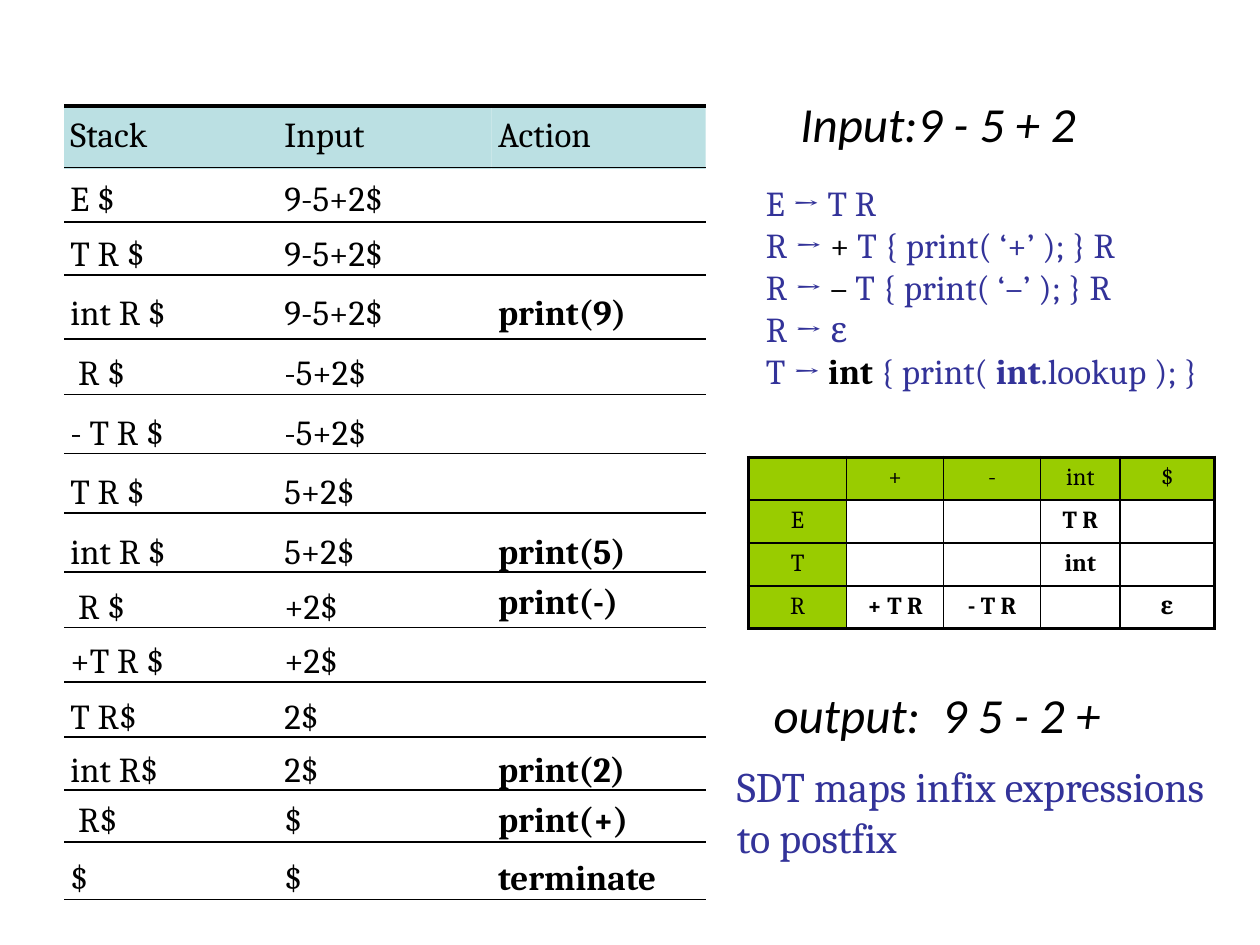
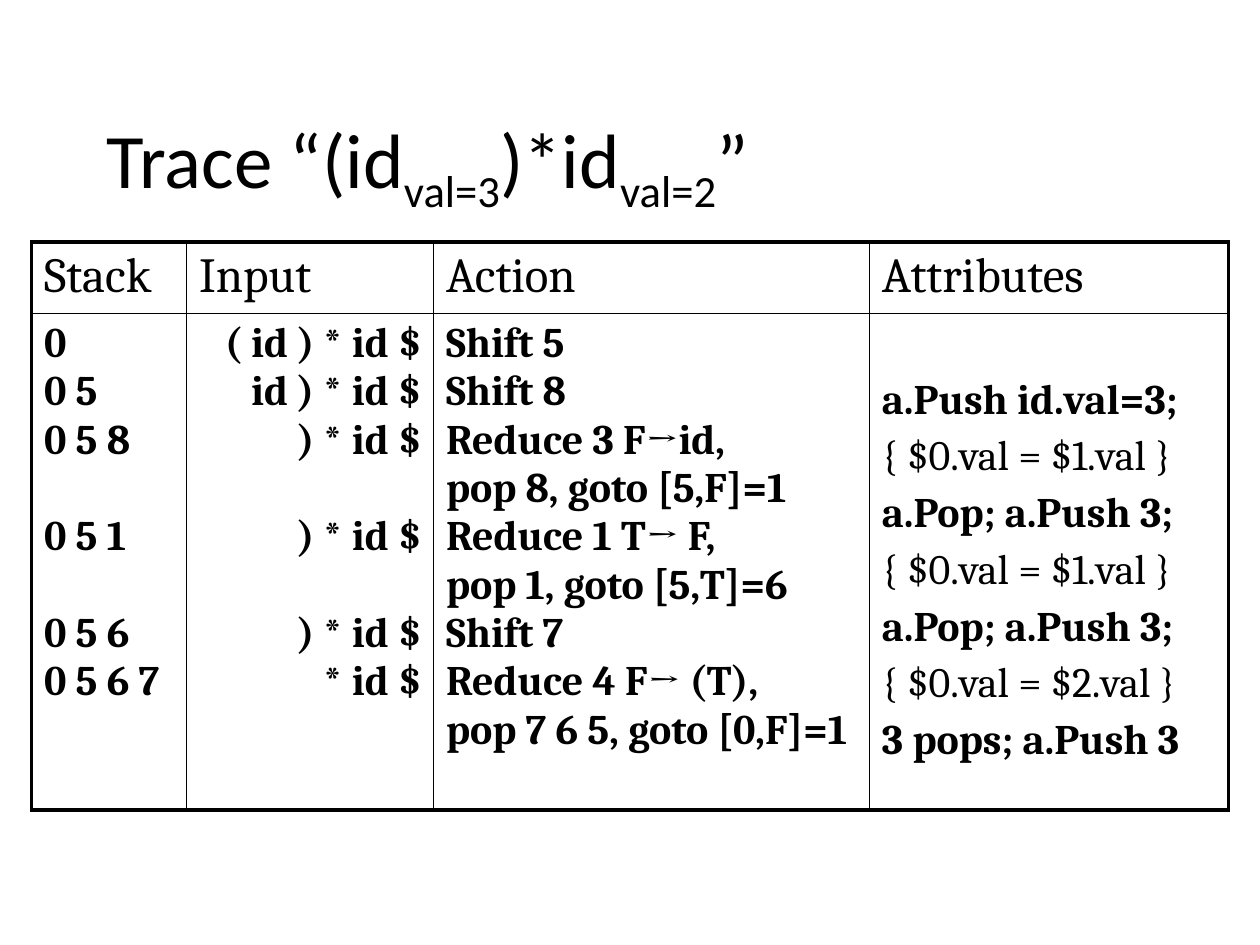
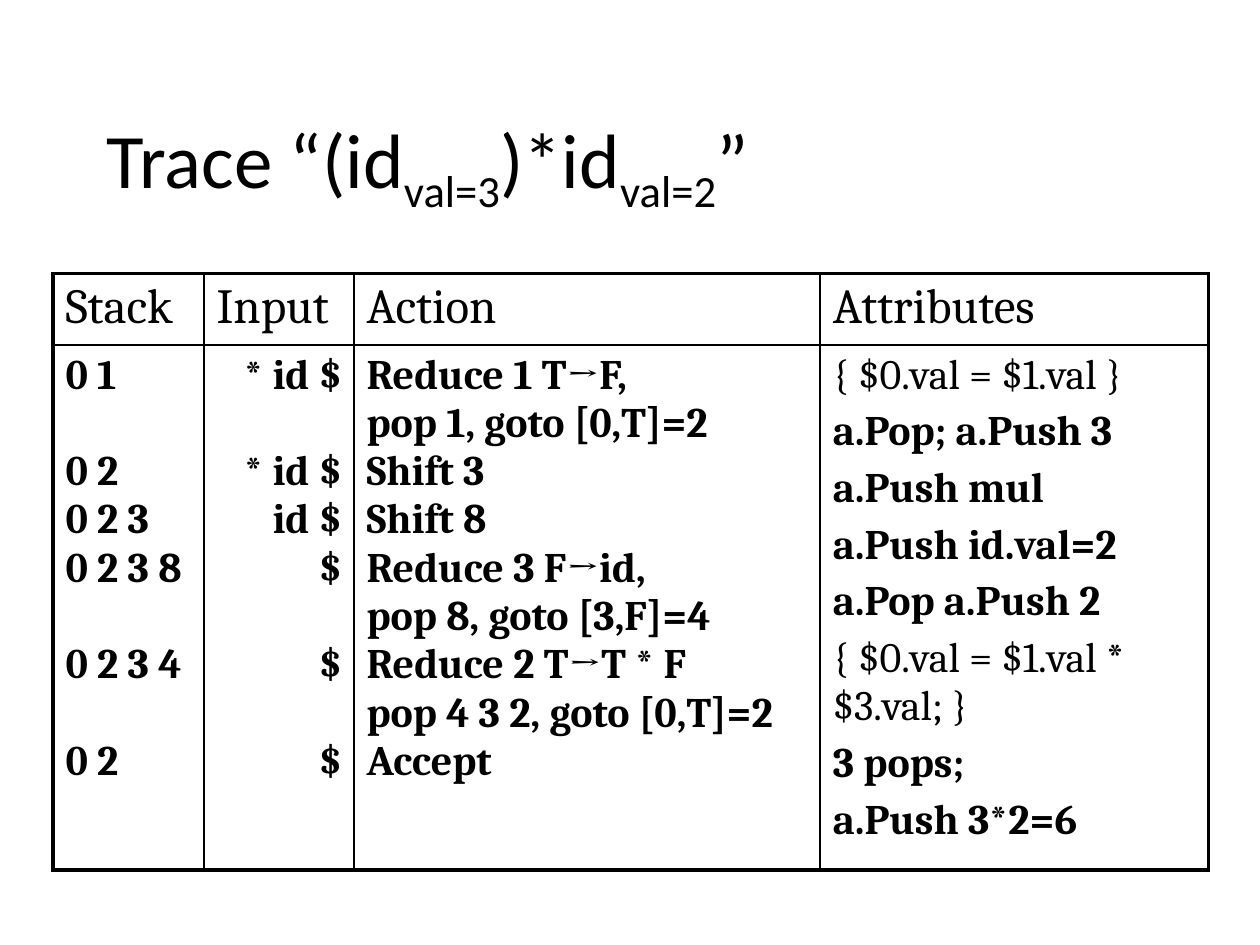
from dataclasses import dataclass

from lxml import etree
from pptx import Presentation
from pptx import util as u
from pptx.dml.color import RGBColor
from pptx.enum import shapes, text
from pptx.oxml.ns import qn

BLACK = RGBColor(0x00, 0x00, 0x00)
INDIGO = RGBColor(0x33, 0x33, 0x99)
PALE_TEAL = RGBColor(0xBB, 0xE0, 0xE3)
LIME = RGBColor(0x99, 0xCC, 0x00)
HEADING_FONT, BODY_FONT = "Calibri", "Cambria"
THIN, THICK = 1, 2.25
COLUMNS, ROWS = 10, 7.5
UNIT = u.Inches(1)
LINE_24 = 27.6
LEFT, CENTER, RIGHT = text.PP_ALIGN.LEFT, text.PP_ALIGN.CENTER, text.PP_ALIGN.RIGHT


@dataclass
class Box:
    """A region in columns and rows of the slide grid."""
    left: float
    top: float
    width: float
    height: float

    def inner(self, left, top, width, height):
        """Return a box placed relative to this one."""
        return Box(self.left + left, self.top + top, width, height)

    def emu(self):
        """Return the box as lengths for a shape."""
        return [grid(n) for n in (self.left, self.top, self.width, self.height)]


@dataclass
class Style:
    """How the text of a paragraph looks."""
    size: float
    font: str = BODY_FONT
    color: RGBColor = BLACK
    bold: bool = False
    italic: bool = False
    align: text.PP_ALIGN = LEFT


@dataclass
class Span:
    """A stretch of text that departs from its paragraph."""
    words: str
    color: RGBColor = None
    bold: bool = None
    subscript: bool = False


TRACE = [
    (1.35, 1.76, "E $", "9-5+2$", ""),
    (1.79, 2.18, "T R $", "9-5+2$", ""),
    (2.26, 2.69, "int R $", "9-5+2$", "print(9)"),
    (2.73, 3.13, " R $", "-5+2$", ""),
    (3.21, 3.6, "- T R $", "-5+2$", ""),
    (3.68, 4.07, "T R $", "5+2$", ""),
    (4.15, 4.54, "int R $", "5+2$", "print(5)"),
    (4.59, 4.98, " R $", "+2$", "print(-)"),
    (5.02, 5.41, "+T R $", "+2$", ""),
    (5.46, 5.85, "T R$", "2$", ""),
    (5.88, 6.27, "int R$", "2$", "print(2)"),
    (6.28, 6.68, " R$", "$", "print(+)"),
    (6.74, 7.14, "$", "$", "terminate"),
]
GRAMMAR = [
    ["E → T R"],
    ["R → ", Span("+", BLACK), " T { print( ‘+’ ); } R"],
    ["R → ", Span("–", BLACK), " T { print( ‘–’ ); } R"],
    ["R → ε"],
    ["T → ", Span("int", BLACK, True), " { print( ", Span("int", bold=True), ".lookup ); }"],
]
PARSE_TABLE = [
    ["", "+", "-", "int", "$"],
    ["E", "", "", "T R", ""],
    ["T", "", "", "int", ""],
    ["R", "+ T R", "- T R", "", "ε"],
]
TRACE_TITLE = ["Trace “(id", Span("val=3", subscript=True), ")*id",
               Span("val=2", subscript=True), "”"]
FIRST_STEPS = [
    ("0", "( id ) * id $", ["Shift 5"]),
    ("0 5", "id ) * id $", ["Shift 8"]),
    ("0 5 8", ") * id $", ["Reduce 3 F→id,", "pop 8, goto [5,F]=1"]),
    ("0 5 1", ") * id $", ["Reduce 1 T→ F,", "pop 1, goto [5,T]=6"]),
    ("0 5 6", ") * id $", ["Shift 7"]),
    ("0 5 6 7", "* id $", ["Reduce 4 F→ (T),", "pop 7 6 5, goto [0,F]=1"]),
]
FIRST_ATTRIBUTES = [
    "a.Push id.val=3;", "{ $0.val = $1.val }", "a.Pop; a.Push 3;", "{ $0.val = $1.val }",
    "a.Pop; a.Push 3;", "{ $0.val = $2.val }", "3 pops; a.Push 3",
]
LAST_STEPS = [
    ("0 1", "* id $", ["Reduce 1 T→F,", "pop 1, goto [0,T]=2"]),
    ("0 2", "* id $", ["Shift 3"]),
    ("0 2 3", "id $", ["Shift 8"]),
    ("0 2 3 8", "$", ["Reduce 3 F→id,", "pop 8, goto [3,F]=4"]),
    ("0 2 3 4", "$", ["Reduce 2 T→T * F", "pop 4 3 2, goto [0,T]=2"]),
    ("0 2", "$", ["Accept"]),
]
LAST_ATTRIBUTES = [
    "{ $0.val = $1.val }", "a.Pop; a.Push 3", "a.Push mul", "a.Push id.val=2",
    "a.Pop a.Push 2", "{ $0.val = $1.val * $3.val; }", "3 pops;", "a.Push 3*2=6",
]


def grid(cells):
    """Return a number of grid cells as a length."""
    return u.Emu(round(cells * UNIT))


def write_paragraph(paragraph, spans, style, before=0):
    """Fill one paragraph with plain strings and spans."""
    paragraph.alignment = style.align
    if before:
        paragraph.space_before = u.Pt(before)
    font = paragraph.font
    font.size, font.name = u.Pt(style.size), style.font
    font.bold, font.italic = style.bold, style.italic
    font.color.rgb = style.color
    for span in spans:
        span = Span(span) if isinstance(span, str) else span
        run = paragraph.add_run()
        run.text = span.words
        if span.color is not None:
            run.font.color.rgb = span.color
        if span.bold is not None:
            run.font.bold = span.bold
        if span.subscript:
            run.font._element.set("baseline", "-25000")


def write_lines(frame, lines):
    """Fill a frame with (spans, style, space before) lines."""
    for index, line in enumerate(lines):
        paragraph = frame.add_paragraph() if index else frame.paragraphs[0]
        write_paragraph(paragraph, *line)


def add_text(slide, box, lines, style, inset=None, anchor=text.MSO_ANCHOR.TOP, fill=None):
    """Place wrapped text, on a filled rectangle when a fill is given."""
    if fill is None:
        holder = slide.shapes.add_textbox(*box.emu())
    else:
        holder = slide.shapes.add_shape(shapes.MSO_SHAPE.RECTANGLE, *box.emu())
        holder.shadow.inherit = False
        holder.fill.solid()
        holder.fill.fore_color.rgb = fill
        holder.line.fill.background()
    frame = holder.text_frame
    frame.word_wrap = True
    frame.vertical_anchor = anchor
    if inset is not None:
        frame.margin_left = frame.margin_right = grid(inset)
        frame.margin_top = frame.margin_bottom = grid(inset)
    write_lines(frame, [(spans, style) for spans in lines])


def add_rule(slide, box, top, weight):
    """Draw a horizontal rule across a box."""
    y = grid(top)
    rule = slide.shapes.add_connector(shapes.MSO_CONNECTOR.STRAIGHT, grid(box.left), y,
                                      grid(box.left + box.width), y)
    rule.line.color.rgb = BLACK
    rule.line.width = u.Pt(weight)
    etree.SubElement(rule._element.spPr, qn("a:effectLst"))


def set_border(cell, side, weight):
    """Draw one side of a cell."""
    line = etree.SubElement(cell._tc.get_or_add_tcPr(), qn(f"a:ln{side}"), w=str(u.Pt(weight)))
    fill = etree.SubElement(line, qn("a:solidFill"))
    etree.SubElement(fill, qn("a:srgbClr"), val=str(BLACK))


def add_framed_table(slide, box, widths, heights):
    """Add an unfilled table with a thick frame and thin inner lines."""
    table = slide.shapes.add_table(len(heights), len(widths), *box.emu()).table
    table.first_row = table.horz_banding = False
    for column, width in zip(table.columns, widths):
        column.width = grid(width)
    for row, height in zip(table.rows, heights):
        row.height = grid(height)
    last_row, last_column = len(heights) - 1, len(widths) - 1
    for r in range(len(heights)):
        for c in range(len(widths)):
            cell = table.cell(r, c)
            outer = {"L": c == 0, "R": c == last_column, "T": r == 0, "B": r == last_row}
            for side, on_frame in outer.items():
                set_border(cell, side, THICK if on_frame else THIN)
            cell.fill.background()
    return table


def draw_stack_trace(slide, box):
    """Draw the ruled stack, input and action list."""
    column = box.width / 3
    plain, strong = Style(20), Style(20, bold=True)
    for index, heading in enumerate(["Stack", "Input", "Action"]):
        add_text(slide, box.inner(index * column, 0, column, 0.5), [[heading]], plain,
                 inset=0.05, fill=PALE_TEAL)
    add_rule(slide, box, box.top, THICK)
    add_rule(slide, box, box.top + 0.49, THIN)
    for top, rule, *entries in TRACE:
        for index, entry in enumerate(entries):
            if entry:
                raised = 0.04 if entry == "print(-)" else 0
                place = box.inner(index * column, top - raised - box.top, column, 0.28)
                add_text(slide, place, [[entry]], strong if index == 2 else plain, inset=0.05)
        add_rule(slide, box, rule, THIN)


def draw_parse_table(slide, box):
    """Draw the predictive parsing table with lime headings."""
    table = add_framed_table(slide, box, [0.78, 0.77, 0.77, 0.63, 0.75], [box.height / 4] * 4)
    for r, entries in enumerate(PARSE_TABLE):
        for c, entry in enumerate(entries):
            cell = table.cell(r, c)
            heading = r == 0 or c == 0
            if heading:
                cell.fill.solid()
                cell.fill.fore_color.rgb = LIME
            paragraph = cell.text_frame.paragraphs[0]
            write_paragraph(paragraph, [entry] if entry else [],
                            Style(14, bold=not heading, align=CENTER))
            if not entry:
                etree.SubElement(paragraph._p, qn("a:endParaRPr"), sz="1400")


def draw_translation_slide(slide):
    """Show how the scheme turns infix into postfix."""
    caption = Style(28, HEADING_FONT, italic=True, align=CENTER)
    middle = text.MSO_ANCHOR.MIDDLE
    add_text(slide, Box(6.03, 0.6, 2.83, 0.75), [["Input:9 - 5 + 2"]], caption, anchor=middle)
    draw_stack_trace(slide, Box(0.51, 0.84, 5.09, 6.3))
    add_text(slide, Box(5.98, 1.39, 3.9, 1.78), GRAMMAR, Style(20, color=INDIGO))
    draw_parse_table(slide, Box(5.94, 3.63, 3.7, 1.36))
    add_text(slide, Box(6.02, 5.29, 2.83, 0.75), [["output:  9 5 - 2 +"]], caption, anchor=middle)
    add_text(slide, Box(5.75, 5.99, 4.13, 0.91), [["SDT maps infix expressions to postfix"]],
             Style(24, color=INDIGO))


def step_lines(steps, field, align):
    """Space one entry a step so that it meets the first line of its action."""
    style = Style(24, bold=True, align=align)
    gaps = [0] + [LINE_24 * (len(step[2]) - 1) for step in steps]
    return [([step[field]], style, gap) for step, gap in zip(steps, gaps)]


def draw_attribute_slide(slide, box, widths, body_height, steps, attributes, attributes_top):
    """Trace the parse with its attribute stack under the shared title."""
    add_text(slide, Box(0.075 * COLUMNS, 0.09 * ROWS, 0.85 * COLUMNS, ROWS / 6), [TRACE_TITLE],
             Style(44, HEADING_FONT), anchor=text.MSO_ANCHOR.MIDDLE)
    table = add_framed_table(slide, box, widths, [0.54, body_height])
    for c, heading in enumerate(["Stack", "Input", "Action", "Attributes"]):
        write_lines(table.cell(0, c).text_frame, [([heading], Style(28))])
    actions = [([line], Style(24, bold=True)) for step in steps for line in step[2]]
    notes = [([note], Style(24, bold=not note.startswith("{")), 4.8 if index else 0)
             for index, note in enumerate(attributes)]
    columns = [step_lines(steps, 0, LEFT), step_lines(steps, 1, RIGHT), actions, notes]
    for c, lines in enumerate(columns):
        write_lines(table.cell(1, c).text_frame, lines)
    table.cell(1, 3).margin_top = grid(attributes_top)


def main():
    """Build the deck."""
    deck = Presentation()
    deck.slide_width, deck.slide_height = grid(COLUMNS), grid(ROWS)
    translation, first_trace, last_trace = [
        deck.slides.add_slide(deck.slide_layouts[6]) for _ in range(3)]
    draw_translation_slide(translation)
    draw_attribute_slide(first_trace, Box(0.25, 1.92, 9.5, 4.48), [1.23, 1.96, 3.46, 2.85],
                         3.94, FIRST_STEPS, FIRST_ATTRIBUTES, 0.5)
    draw_attribute_slide(last_trace, Box(0.42, 2.17, 9.17, 4.56), [1.2, 1.19, 3.7, 3.08],
                         4.02, LAST_STEPS, LAST_ATTRIBUTES, 0.05)
    deck.save("out.pptx")


if __name__ == "__main__":
    main()
